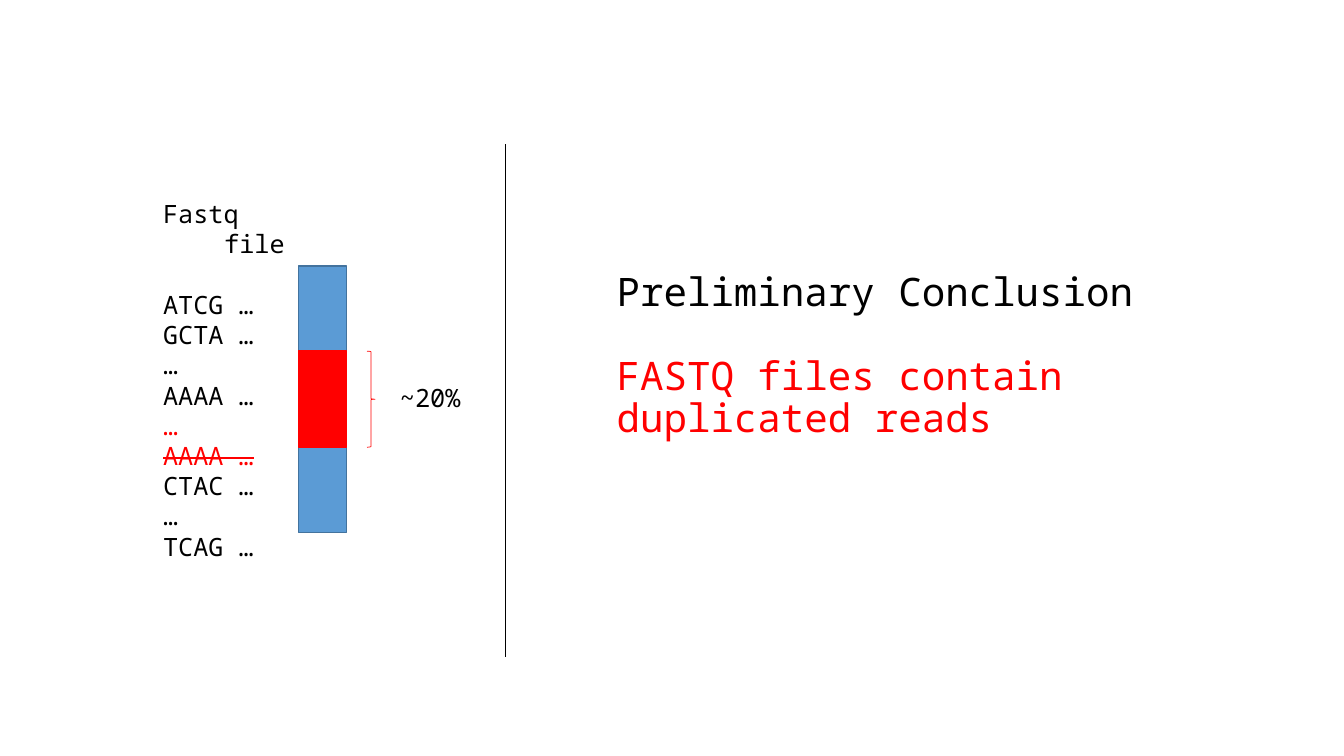
from lxml.etree import SubElement
from pptx import Presentation
from pptx.dml.color import RGBColor
from pptx.enum.shapes import MSO_CONNECTOR, MSO_SHAPE
from pptx.enum.text import MSO_ANCHOR, MSO_AUTO_SIZE
from pptx.oxml.ns import qn
from pptx.util import Cm, Pt

COLORS = {"black": "000000", "red": "FF0000", "blue": "5B9BD5", "edge": "43739E"}
FONT = "Noto Sans Mono"


def color(name):
    return RGBColor.from_string(COLORS[name])


def write(paragraph, text, size=18, ink="black", strike=False, before=0, spacing=1.0, hanging=0):
    paragraph.space_before = Pt(before)
    paragraph.line_spacing = spacing
    if hanging:
        properties = paragraph._p.get_or_add_pPr()
        properties.set("marL", str(Cm(hanging)))
        properties.set("indent", str(-Cm(hanging)))
    for index, part in enumerate(text.split("\n")):
        if index:
            paragraph.add_line_break()
        run = paragraph.add_run()
        run.text = part
        run.font.name = FONT
        run.font.size = Pt(size)
        run.font.color.rgb = color(ink)
        if strike:
            run._r.get_or_add_rPr().set("strike", "sngStrike")


class SlideBuilder:
    def __init__(self, slide):
        self.slide = slide

    def text(self, left, top, width, height, lines, wrap=False, inset=0.13, anchor=MSO_ANCHOR.TOP, **style):
        box = self.slide.shapes.add_textbox(Cm(left), Cm(top), Cm(width), Cm(height))
        frame = box.text_frame
        frame.word_wrap = wrap
        frame.auto_size = MSO_AUTO_SIZE.NONE if wrap else MSO_AUTO_SIZE.SHAPE_TO_FIT_TEXT
        frame.margin_top = Cm(inset)
        frame.vertical_anchor = anchor
        for index, (text, extra) in enumerate(lines):
            paragraph = frame.add_paragraph() if index else frame.paragraphs[0]
            write(paragraph, text, **{**style, **extra})

    def shape(self, kind, left, top, width, height, fill, edge, weight=1):
        shape = self.slide.shapes.add_shape(kind, Cm(left), Cm(top), Cm(width), Cm(height))
        shape.shadow.inherit = False
        if fill:
            shape.fill.solid()
            shape.fill.fore_color.rgb = color(fill)
        else:
            shape.fill.background()
        shape.line.color.rgb = color(edge)
        shape.line.width = Pt(weight)

    def divider(self, left, top, bottom):
        line = self.slide.shapes.add_connector(MSO_CONNECTOR.STRAIGHT, Cm(left), Cm(top), Cm(left), Cm(bottom))
        line.line.color.rgb = color("black")
        line.line.width = Pt(0.5)
        SubElement(line._element.spPr, qn("a:effectLst"))


def main():
    presentation = Presentation()
    presentation.slide_width = Cm(33.87)
    presentation.slide_height = Cm(19.05)
    builder = SlideBuilder(presentation.slides.add_slide(presentation.slide_layouts[6]))

    reads = [
        ("Fastq\nfile", {"hanging": 1.54}),
        ("ATCG …", {"before": 21.6}),
        ("GCTA …", {}),
        ("…", {}),
        ("AAAA …", {}),
        ("…", {"ink": "red"}),
        ("AAAA …", {"ink": "red", "strike": True}),
        ("CTAC …", {}),
        ("…", {}),
        ("TCAG …", {}),
    ]
    builder.text(3.86, 3.35, 4.9, 11.02, reads, inset=1.65)
    builder.text(9.83, 7.98, 2.16, 2.57, [("~20%", {})], inset=1.65)

    bar_left, bar_top, bar_width = 7.52, 6.7, 1.22
    unique_height, duplicate_height = 2.15, 2.42
    duplicate_top = bar_top + unique_height
    for top in (bar_top, duplicate_top + duplicate_height):
        builder.shape(MSO_SHAPE.RECTANGLE, bar_left, top, bar_width, unique_height, "blue", "edge")
    builder.shape(MSO_SHAPE.RECTANGLE, bar_left, duplicate_top, bar_width, duplicate_height, "red", "red")
    builder.shape(MSO_SHAPE.RIGHT_BRACE, 9.25, duplicate_top, 0.2, duplicate_height, None, "red", 0.5)

    conclusion = [
        ("Preliminary Conclusion", {}),
        ("FASTQ files contain", {"ink": "red", "before": 30}),
        ("duplicated reads", {"ink": "red"}),
    ]
    builder.text(15.29, 6.73, 18, 4.52, conclusion, wrap=True, anchor=MSO_ANCHOR.MIDDLE, size=28, spacing=0.9)
    builder.divider(12.73, 3.63, 16.56)

    presentation.save("out.pptx")


if __name__ == "__main__":
    main()
